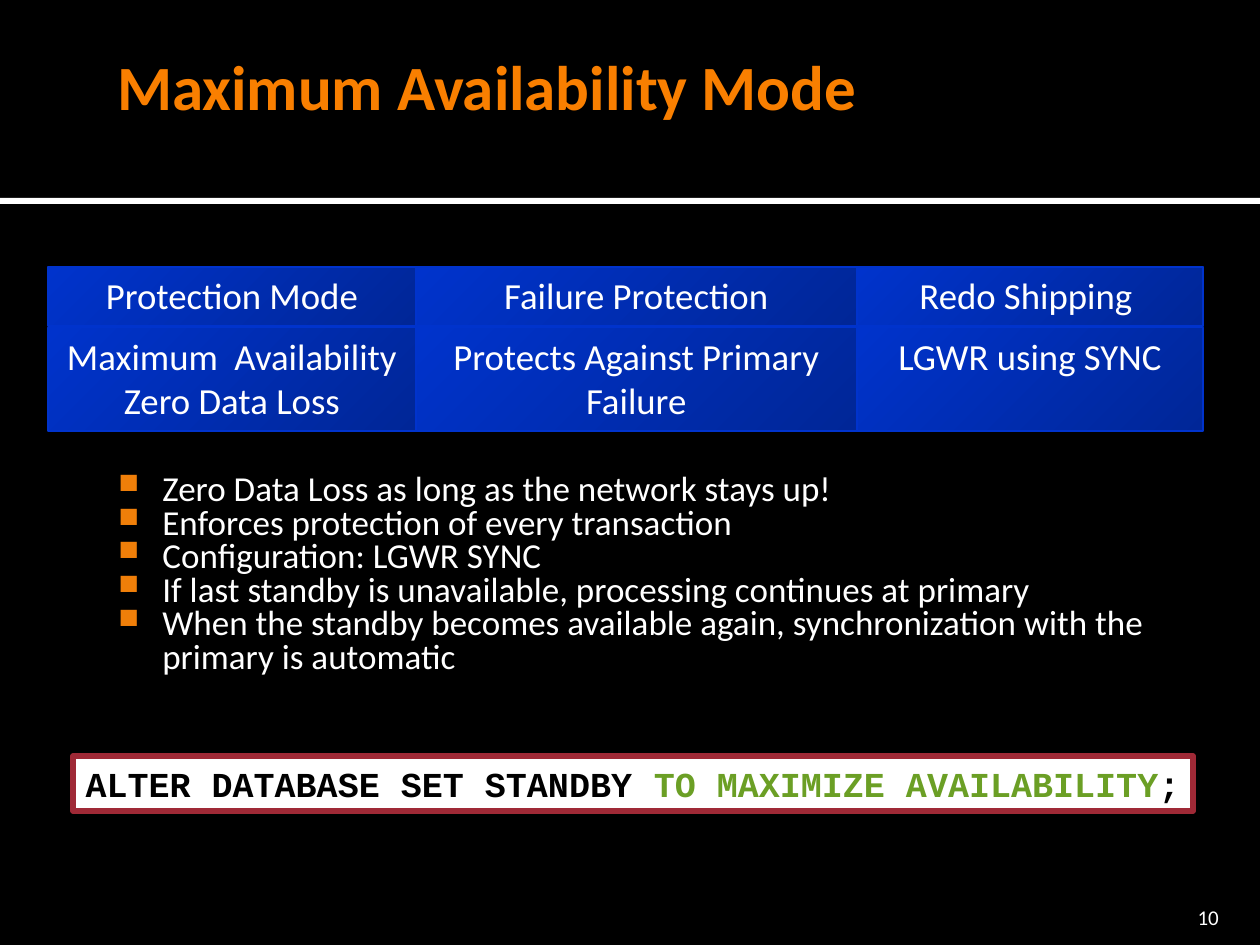
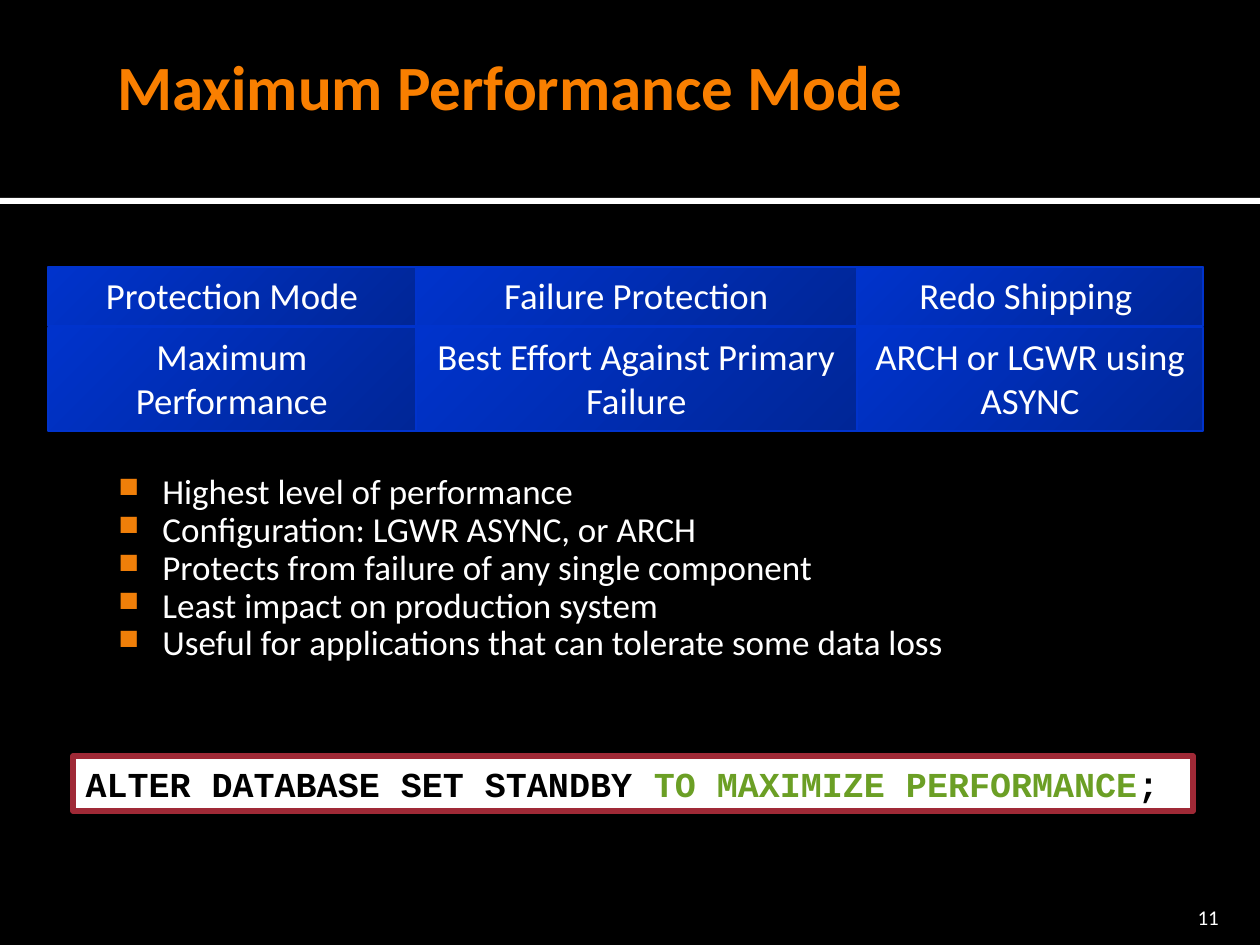
from lxml import etree
from pptx import Presentation
from pptx.dml.color import RGBColor
from pptx.enum import shapes, text
from pptx.oxml import ns
from pptx.util import Pt

# Content
HEADS = ["Protection Mode", "Failure Protection", "Redo Shipping "]
CODE = "ALTER DATABASE SET STANDBY "
PAGES = [
    {
        "num": "10",
        "title": "Maximum Availability Mode",
        "cells": [
            ["Maximum  Availability", "Zero Data Loss"],
            ["Protects Against Primary Failure"],
            ["LGWR using SYNC"],
        ],
        "space": 0.8,
        "width": 648,
        "points": [
            "Zero Data Loss as long as the network stays up!",
            "Enforces protection of every transaction",
            "Configuration: LGWR SYNC",
            "If last standby is unavailable, processing continues at primary",
            "When the standby becomes available again, synchronization with the "
            "primary is automatic",
        ],
        "mode": "TO MAXIMIZE AVAILABILITY",
    },
    {
        "num": "11",
        "title": "Maximum Performance Mode",
        "cells": [
            ["Maximum Performance"],
            ["Best Effort Against Primary Failure"],
            ["ARCH or LGWR using ASYNC"],
        ],
        "space": 0.9,
        "width": 624,
        "points": [
            "Highest level of performance",
            "Configuration: LGWR ASYNC, or ARCH",
            "Protects from failure of any single component",
            "Least impact on production system",
            "Useful for applications that can tolerate some data loss",
        ],
        "mode": "TO MAXIMIZE PERFORMANCE",
    },
]

# Shared style
HUES = {
    "black": "000000", "white": "FFFFFF", "title": "F97F00", "mark": "F07F09",
    "blue": "0033CC", "navy": "002697", "red": "9F2936", "green": "6B9F25",
}
SANS, MONO = "Calibri", "Courier New"
EDGES = [27.4, 237.6, 489.6, 687.6]      # column edges of the grid
ROWS = [(152.6, 33.8), (187.2, 59)]      # top and height of each row
ALIGN = text.PP_ALIGN


def hue(name):
    return RGBColor.from_string(HUES[name])


def add_run(para, words, size, color="white", font=SANS, bold=False):
    run = para.add_run()
    run.text = words
    run.font.size, run.font.name, run.font.bold = Pt(size), font, bold
    run.font.color.rgb = hue(color)


def set_frame(shape, pads=(7.2, 3.6, 7.2, 3.6), anchor=text.MSO_ANCHOR.TOP):
    frame = shape.text_frame
    frame.word_wrap = True
    frame.vertical_anchor = anchor
    (frame.margin_left, frame.margin_top,
     frame.margin_right, frame.margin_bottom) = map(Pt, pads)
    return frame


def add_paras(frame, lines):
    """Yield one paragraph with each line of words."""
    for i, line in enumerate(lines):
        yield (frame.add_paragraph() if i else frame.paragraphs[0]), line


def add_rect(slide, box, fill=None, line=None, width=1):
    rect = slide.shapes.add_shape(shapes.MSO_SHAPE.RECTANGLE, *map(Pt, box))
    rect.shadow.inherit = False
    if fill:
        rect.fill.solid()
        rect.fill.fore_color.rgb = hue(fill)
    if line:
        rect.line.color.rgb = hue(line)
        rect.line.width = Pt(width)
    else:
        rect.line.fill.background()
    return rect


def add_box(slide, box, *args):
    return set_frame(slide.shapes.add_textbox(*map(Pt, box)), *args)


def add_cell(slide, box, lines):
    cell = add_rect(slide, box, line="blue")
    cell.fill.gradient()
    cell.fill.gradient_angle = 315
    for stop, name in zip(cell.fill.gradient_stops, ("blue", "navy")):
        stop.color.rgb = hue(name)
    for para, line in add_paras(set_frame(cell), lines):
        para.alignment = ALIGN.CENTER
        add_run(para, line, 21)


def add_mark(para):
    """Hang an orange square in front of the paragraph."""
    props = para._p.get_or_add_pPr()
    props.set("marL", str(Pt(34.5)))
    props.set("indent", str(-Pt(25.2)))
    color = etree.SubElement(props, ns.qn("a:buClr"))
    etree.SubElement(color, ns.qn("a:srgbClr"), val=HUES["mark"])
    etree.SubElement(props, ns.qn("a:buSzPct"), val="80000")
    etree.SubElement(props, ns.qn("a:buChar"), char="■")


def add_page(deck, page):
    slide = deck.slides.add_slide(deck.slide_layouts[6])
    slide.background.fill.solid()
    slide.background.fill.fore_color.rgb = hue("black")

    # Title and band
    add_rect(slide, (0, 113, 720, 3.6), "white")
    add_rect(slide, (0, 0, 720, 113), "black")
    frame = add_box(slide, (59.8, 23.8, 588, 54), (7.2, 3.6, 3.6, 3.6))
    add_run(frame.paragraphs[0], page["title"], 36, "title", bold=True)

    # Bullet points
    frame = add_box(slide, (54, 264, page["width"], 138), (4.3, 7.2, 7.2, 3.6))
    for para, line in add_paras(frame, page["points"]):
        para.line_spacing = page["space"]
        add_mark(para)
        add_run(para, line, 20)

    # Command
    rect = add_rect(slide, (41.8, 432, 640, 31.5), "white", "red", 3.15)
    para = set_frame(rect).paragraphs[0]
    para.alignment = ALIGN.LEFT
    for words, color in ((CODE, "black"), (page["mode"], "green"), (";", "black")):
        add_run(para, words, 20, color, MONO, True)

    # Grid of modes
    grid = [[[head] for head in HEADS], page["cells"]]
    for (top, high), row in zip(ROWS, grid):
        for left, right, lines in zip(EDGES, EDGES[1:], row):
            add_cell(slide, (left, top, right - left, high), lines)

    # Page number
    frame = add_box(slide, (646, 509.8, 57.6, 21.6), (7.2, 3.6, 7.2, 0),
                    text.MSO_ANCHOR.BOTTOM)
    frame.paragraphs[0].alignment = ALIGN.RIGHT
    add_run(frame.paragraphs[0], page["num"], 12)


def main():
    deck = Presentation()
    deck.slide_width, deck.slide_height = Pt(720), Pt(540)
    for page in PAGES:
        add_page(deck, page)
    deck.save("out.pptx")


if __name__ == "__main__":
    main()
